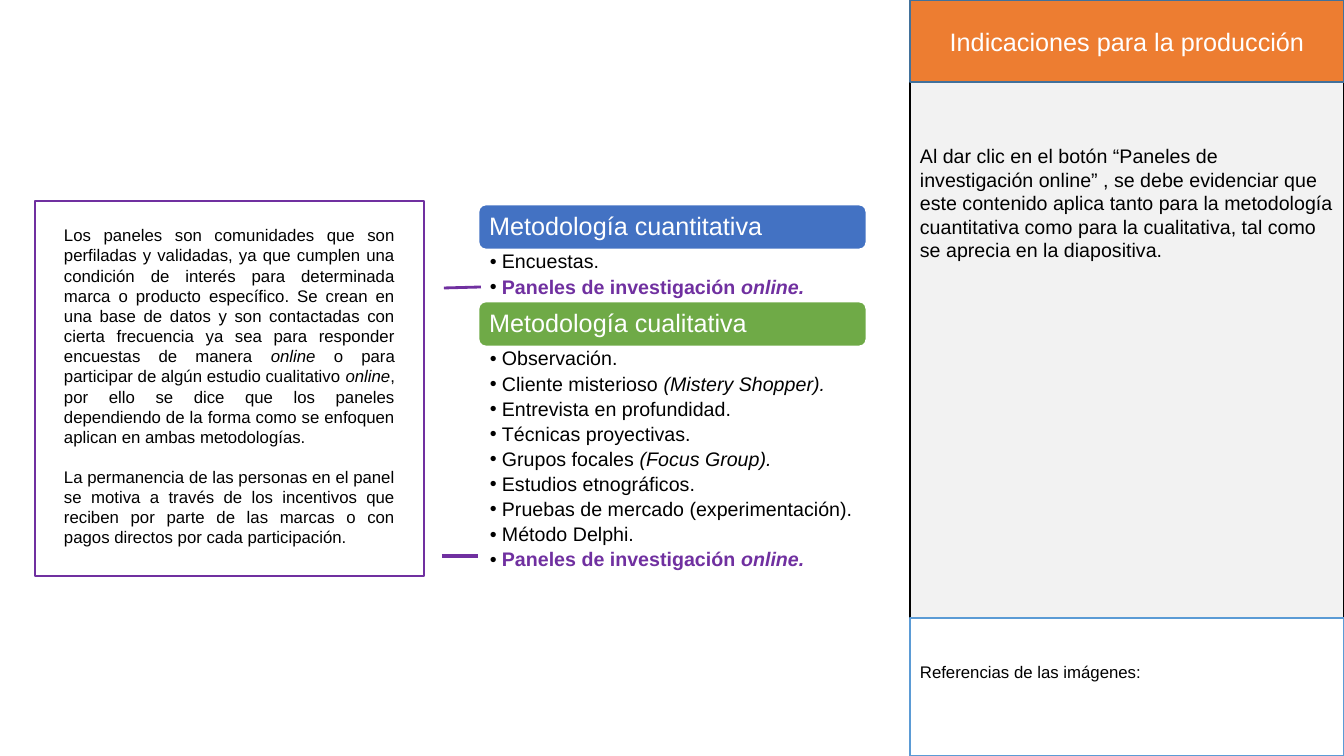
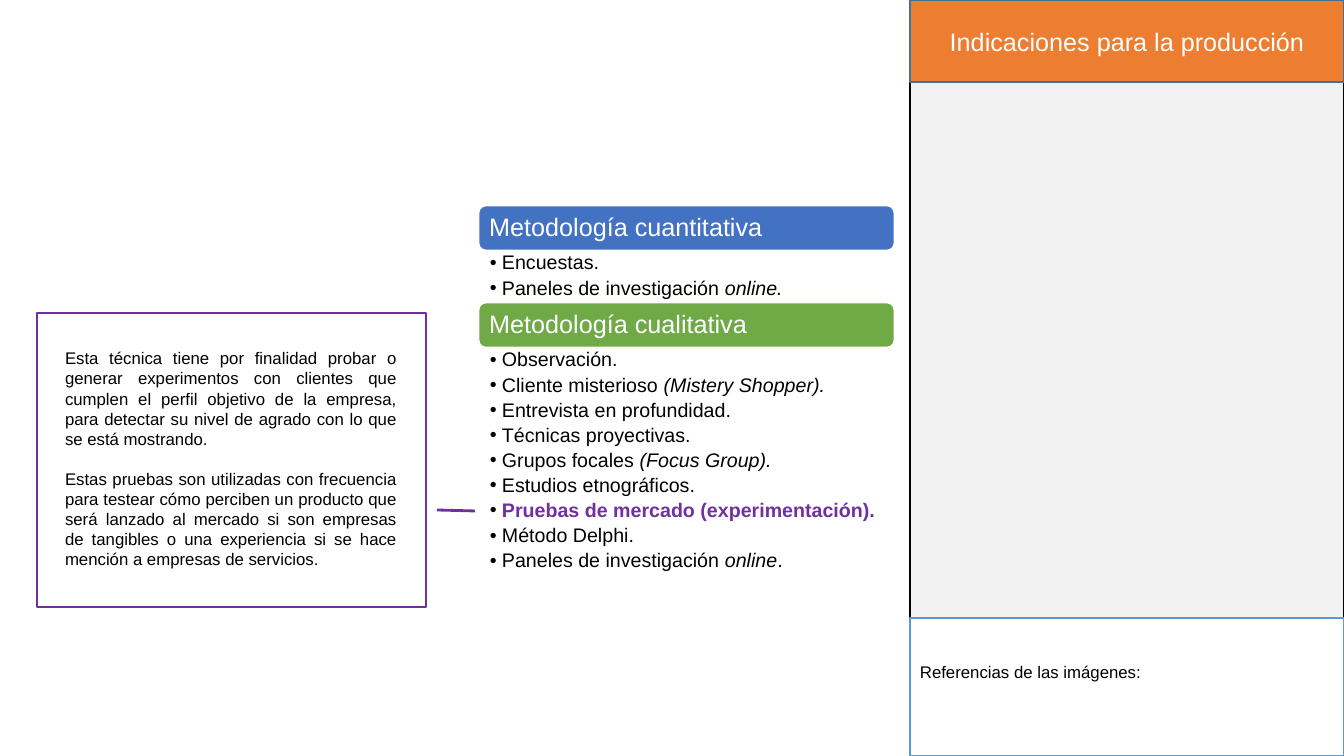
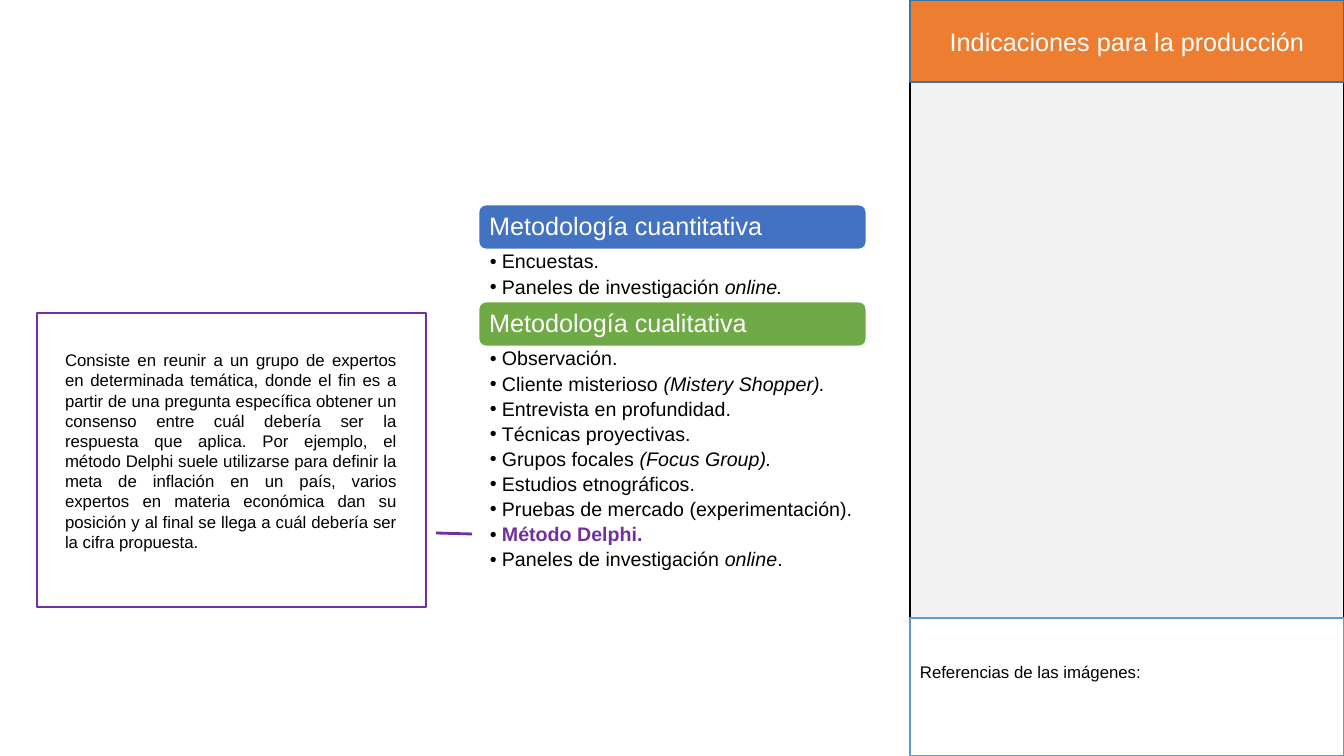
"""Build three slides on market research methods with a production notes sidebar."""
from lxml.etree import SubElement
from pptx import Presentation
from pptx.dml.color import RGBColor
from pptx.enum.shapes import MSO_CONNECTOR as CONNECTOR, MSO_SHAPE as SHAPE
from pptx.enum.text import MSO_ANCHOR as ANCHOR, PP_ALIGN as ALIGN
from pptx.oxml.ns import qn
from pptx.util import Pt

PX = 9071
FONT = "Arial"
BLACK, WHITE, PURPLE = "000000", "FFFFFF", "7030A0"
ORANGE, BLUE, GREEN, GREY = "ED7D31", "4372C3", "6FAA47", "F2F2F2"
SIDEBAR_LEFT, SIDEBAR_WIDTH = 910, 434
BAND_LEFT, BAND_HEIGHT, BAND_STEP = 478, 46, 97

color = RGBColor.from_string


def add_box(slide, frame, preset, fill, line, weight=1):
    shape = slide.shapes.add_shape(preset, *[value * PX for value in frame])
    shape.shadow.inherit = False
    if fill:
        shape.fill.solid()
        shape.fill.fore_color.rgb = color(fill)
    else:
        shape.fill.background()
    shape.line.color.rgb = color(line)
    shape.line.width = Pt(weight)
    return shape


def write(shape, lines, size, hue=BLACK, margins=(10, 5, 10, 5), anchor=ANCHOR.TOP,
          align=ALIGN.LEFT, gap=0, spacing=None, bullet=False, accents=()):
    frame = shape.text_frame
    frame.word_wrap = True
    frame.vertical_anchor = anchor
    frame.margin_left, frame.margin_top, frame.margin_right, frame.margin_bottom = [
        margin * PX for margin in margins]
    for index, line in enumerate(lines):
        paragraph = frame.add_paragraph() if index else frame.paragraphs[0]
        paragraph.alignment = align
        if spacing:
            paragraph.line_spacing = spacing
        if index and gap:
            paragraph.space_before = Pt(gap)
        if bullet:
            properties = paragraph._p.get_or_add_pPr()
            properties.set("marL", str(12 * PX))
            properties.set("indent", str(-12 * PX))
            bullet_color = SubElement(properties, qn("a:buClr"))
            SubElement(bullet_color, qn("a:srgbClr"), val=BLACK)
            SubElement(properties, qn("a:buFont"), typeface=FONT)
            SubElement(properties, qn("a:buChar"), char="•")
        accented = line in accents
        for position, text in enumerate(line.split("*")):
            if not text:
                continue
            run = paragraph.add_run()
            run.text = text
            run.font.name = FONT
            run.font.size = Pt(size)
            run.font.italic = position % 2 == 1
            run.font.bold = accented
            run.font.color.rgb = color(PURPLE if accented else hue)


PANELS = "Paneles de investigación *online.*"
PANELS_UPRIGHT_DOT = "Paneles de investigación *online*."
MARKET_TESTS = "Pruebas de mercado (experimentación)."
DELPHI = "Método Delphi."
QUANTITATIVE = ["Encuestas.", PANELS]
QUALITATIVE = [
    "Observación.",
    "Cliente misterioso *(Mistery Shopper).*",
    "Entrevista en profundidad.",
    "Técnicas proyectivas.",
    "Grupos focales *(Focus Group).*",
    "Estudios etnográficos.",
    MARKET_TESTS,
    DELPHI,
]

topics = [
    {
        "accent": PANELS,
        "last_item": PANELS,
        "bands": (204, 389),
        "callout": (35, 201, 389, 375),
        "text": (54, 220, 351, 336),
        "pointers": [(444, 288, 481, 287, 2), (442, 556, 478, 556, 2.25)],
        "paragraphs": [
            "Los paneles son comunidades que son perfiladas y validadas, ya que cumplen una "
            "condición de interés para determinada marca o producto específico. Se crean en una "
            "base de datos y son contactadas con cierta frecuencia ya sea para responder "
            "encuestas de manera *online* o para participar de algún estudio cualitativo "
            "*online*, por ello se dice que los paneles dependiendo de la forma como se enfoquen "
            "aplican en ambas metodologías.",
            "La permanencia de las personas en el panel se motiva a través de los incentivos que "
            "reciben por parte de las marcas o con pagos directos por cada participación.",
        ],
        "instructions":
            "Al dar clic en el botón “Paneles de investigación online” , se debe evidenciar que "
            "este contenido aplica tanto para la metodología cuantitativa como para la "
            "cualitativa, tal como se aprecia en la diapositiva.",
    },
    {
        "accent": MARKET_TESTS,
        "last_item": PANELS_UPRIGHT_DOT,
        "bands": (205, 417),
        "callout": (37, 313, 389, 294),
        "text": (55, 343, 352, 234),
        "pointers": [(437, 510, 475, 511, 2)],
        "paragraphs": [
            "Esta técnica tiene por finalidad probar o generar experimentos con clientes que "
            "cumplen el perfil objetivo de la empresa, para detectar su nivel de agrado con lo "
            "que se está mostrando.",
            "Estas pruebas son utilizadas con frecuencia para testear cómo perciben un producto "
            "que será lanzado al mercado si son empresas de tangibles o una experiencia si se "
            "hace mención a empresas de servicios.",
        ],
    },
    {
        "accent": DELPHI,
        "last_item": PANELS_UPRIGHT_DOT,
        "bands": (204, 389),
        "callout": (37, 313, 389, 294),
        "text": (55, 345, 352, 214),
        "pointers": [(436, 533, 472, 534, 2)],
        "paragraphs": [
            "Consiste en reunir a un grupo de expertos en determinada temática, donde el fin es a "
            "partir de una pregunta específica obtener un consenso entre cuál debería ser la "
            "respuesta que aplica. Por ejemplo, el método Delphi suele utilizarse para definir la "
            "meta de inflación en un país, varios expertos en materia económica dan su posición y "
            "al final se llega a cuál debería ser la cifra propuesta.",
        ],
    },
]

presentation = Presentation()
presentation.slide_width = 1344 * PX
presentation.slide_height = 756 * PX

for topic in topics:
    slide = presentation.slides.add_slide(presentation.slide_layouts[6])

    add_box(slide, (SIDEBAR_LEFT, 0, SIDEBAR_WIDTH, 756), SHAPE.RECTANGLE, GREY, BLACK)
    if "instructions" in topic:
        instructions = slide.shapes.add_textbox(
            SIDEBAR_LEFT * PX, 139 * PX, SIDEBAR_WIDTH * PX, 333 * PX)
        write(instructions, [topic["instructions"]], 14, margins=(10, 5, 8, 5))
    header = add_box(slide, (SIDEBAR_LEFT, 0, SIDEBAR_WIDTH, 82),
                     SHAPE.RECTANGLE, ORANGE, "42719B")
    write(header, ["Indicaciones para la producción"], 18, WHITE,
          anchor=ANCHOR.MIDDLE, align=ALIGN.CENTER)
    references = add_box(slide, (SIDEBAR_LEFT, 618, SIDEBAR_WIDTH, 138),
                         SHAPE.RECTANGLE, WHITE, "5B9BD5")
    write(references, ["Referencias de las imágenes:"], 12,
          margins=(10, 5, 10, 35), anchor=ANCHOR.MIDDLE)

    first_top, band_width = topic["bands"]
    methodologies = [
        ("Metodología cuantitativa", BLUE, QUANTITATIVE, 50),
        ("Metodología cualitativa", GREEN, QUALITATIVE + [topic["last_item"]], 226),
    ]
    for index, (title, fill, items, list_height) in enumerate(methodologies):
        top = first_top + index * BAND_STEP
        band = add_box(slide, (BAND_LEFT, top, band_width, BAND_HEIGHT),
                       SHAPE.ROUNDED_RECTANGLE, fill, WHITE, 2)
        write(band, [title], 18, WHITE, margins=(9, 7, 9, 7),
              anchor=ANCHOR.MIDDLE, spacing=0.9)
        item_list = slide.shapes.add_textbox(
            BAND_LEFT * PX, (top + BAND_HEIGHT) * PX, band_width * PX, list_height * PX)
        write(item_list, items, 14, margins=(12, 2, 14, 2), gap=2.8, spacing=0.9,
              bullet=True, accents=[topic["accent"]])

    add_box(slide, topic["callout"], SHAPE.RECTANGLE, None, PURPLE, 2)
    explanation = slide.shapes.add_textbox(*[value * PX for value in topic["text"]])
    write(explanation, topic["paragraphs"], 12, align=ALIGN.JUSTIFY, gap=14)
    for *ends, weight in topic["pointers"]:
        pointer = slide.shapes.add_connector(
            CONNECTOR.STRAIGHT, *[value * PX for value in ends])
        pointer.line.color.rgb = color(PURPLE)
        pointer.line.width = Pt(weight)
        SubElement(pointer._element.spPr, qn("a:effectLst"))

presentation.save("out.pptx")
